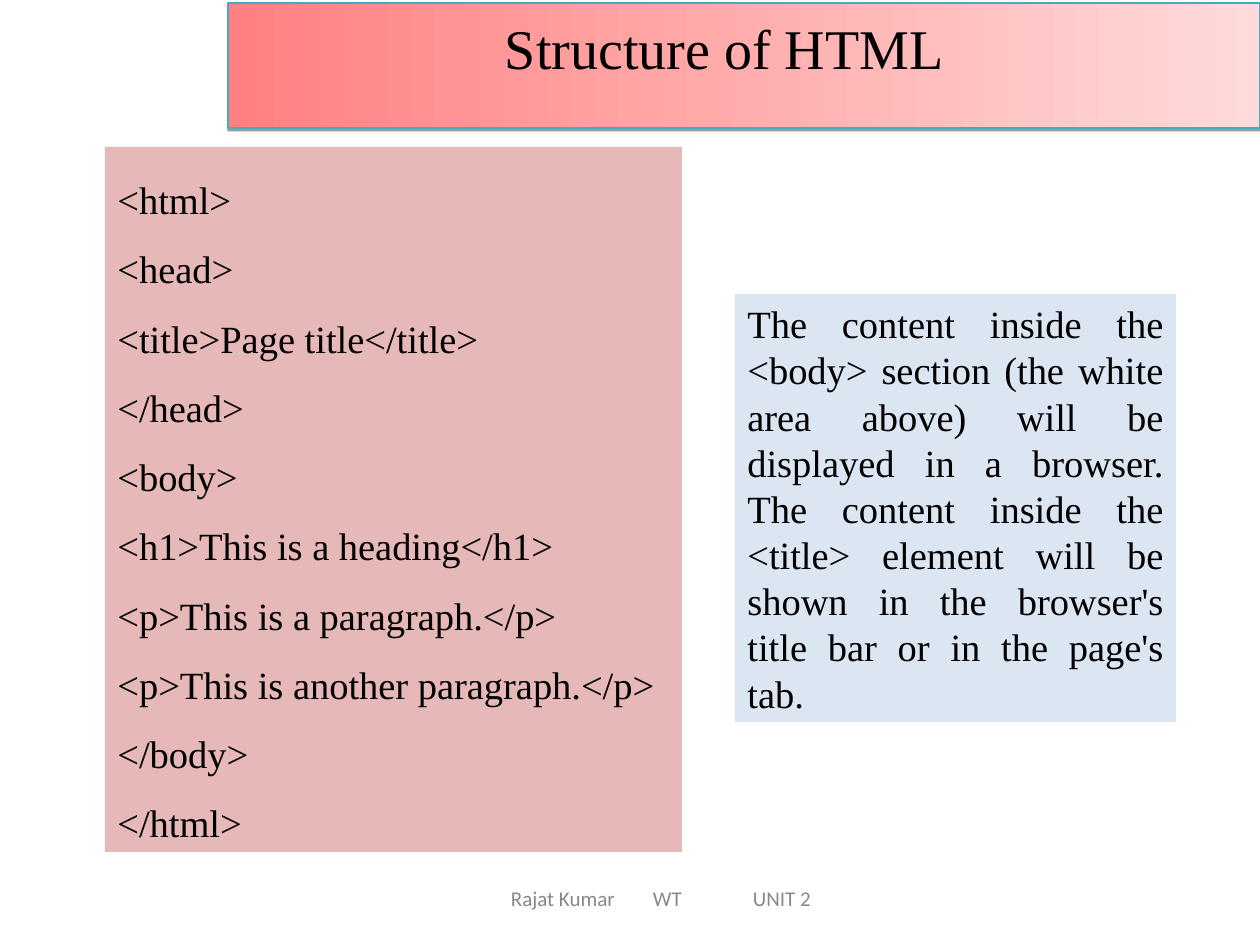
from lxml.etree import SubElement
from pptx import Presentation
from pptx.dml.color import RGBColor
from pptx.enum.shapes import MSO_SHAPE
from pptx.enum.text import MSO_ANCHOR, MSO_AUTO_SIZE, PP_ALIGN
from pptx.oxml import parse_xml
from pptx.oxml.ns import nsdecls, qn
from pptx.util import Pt

TITLE = "Structure of HTML"
CODE = [
    "<html>",
    "<head>",
    "<title>Page title</title>",
    "</head>",
    "<body>",
    "<h1>This is a heading</h1>",
    "<p>This is a paragraph.</p>",
    "<p>This is another paragraph.</p>",
    "</body>",
    "</html>",
]
NOTE = [
    "The content inside the <body> section (the white area above) will be "
    "displayed in a browser. The content inside the <title> element will be "
    "shown in the browser's title bar or in the page's tab."
]
FOOTER = ["Rajat Kumar\tWT\tUNIT 2"]
STOPS = [142, 242]

BLACK = RGBColor(0x00, 0x00, 0x00)
GRAY = RGBColor(0x89, 0x89, 0x89)
CORAL = RGBColor(0xFF, 0x80, 0x80)
BLUSH = RGBColor(0xFF, 0xDA, 0xDA)
TEAL = RGBColor(0x46, 0xAA, 0xC5)
ROSE = RGBColor(0xE6, 0xB9, 0xB8)
ICE = RGBColor(0xDC, 0xE6, 0xF2)
SERIF = "Times New Roman"
SANS = "Calibri"


def px(n):
    return round(n * 914400 / 126)


def shade(props):
    props.append(parse_xml(
        f'<a:effectLst {nsdecls("a")}><a:outerShdw blurRad="0" dist="20000" '
        'dir="5400000" rotWithShape="0"><a:srgbClr val="000000">'
        '<a:alpha val="38000"/></a:srgbClr></a:outerShdw></a:effectLst>'))


def write(frame, lines, size, face, color, align, space=1.0):
    frame.word_wrap = True
    for i, line in enumerate(lines):
        para = frame.paragraphs[0] if i == 0 else frame.add_paragraph()
        para.alignment = align
        para.line_spacing = space
        run = para.add_run()
        run.text = line
        run.font.size = Pt(size)
        run.font.name = face
        run.font.color.rgb = color


def panel(box, lines, fill, align, space):
    shape = slide.shapes.add_textbox(*map(px, box))
    shape.fill.solid()
    shape.fill.fore_color.rgb = fill
    write(shape.text_frame, lines, 22, SERIF, BLACK, align, space)


deck = Presentation()
deck.slide_width, deck.slide_height = px(1260), px(945)
slide = deck.slides.add_slide(deck.slide_layouts[5])
title = slide.shapes.title

banner = slide.shapes.add_shape(MSO_SHAPE.RECTANGLE, *map(px, (228, 3, 1032, 125)))
banner.fill.gradient()
banner.fill.gradient_angle = 0
for stop, color in zip(banner.fill.gradient_stops, (CORAL, BLUSH)):
    stop.color.rgb = color
banner.line.color.rgb = TEAL
banner.line.width = Pt(0.75)
shade(banner._element.spPr)
title._element.addprevious(banner._element)

title.left, title.top, title.width, title.height = map(px, (189, 0, 1071, 95))
frame = title.text_frame
frame.auto_size = MSO_AUTO_SIZE.NONE
frame.vertical_anchor = MSO_ANCHOR.MIDDLE
write(frame, [TITLE], 32, SERIF, BLACK, PP_ALIGN.CENTER)
props = frame.paragraphs[0].runs[0]._r.get_or_add_rPr()
shade(props)
props.find(qn("a:solidFill")).addnext(props.find(qn("a:effectLst")))

panel((105, 147, 577, 705), CODE, ROSE, PP_ALIGN.LEFT, 1.5)
panel((735, 294, 441, 428), NOTE, ICE, PP_ALIGN.JUSTIFY, 1.0)

foot = slide.shapes.add_textbox(*map(px, (315, 873, 693, 50))).text_frame
foot.margin_left = px(196)
foot.vertical_anchor = MSO_ANCHOR.MIDDLE
tabs = SubElement(foot.paragraphs[0]._p.get_or_add_pPr(), qn("a:tabLst"))
for stop in STOPS:
    SubElement(tabs, qn("a:tab"), pos=str(px(stop)), algn="l")
write(foot, FOOTER, 12, SANS, GRAY, PP_ALIGN.LEFT)

deck.save("out.pptx")
